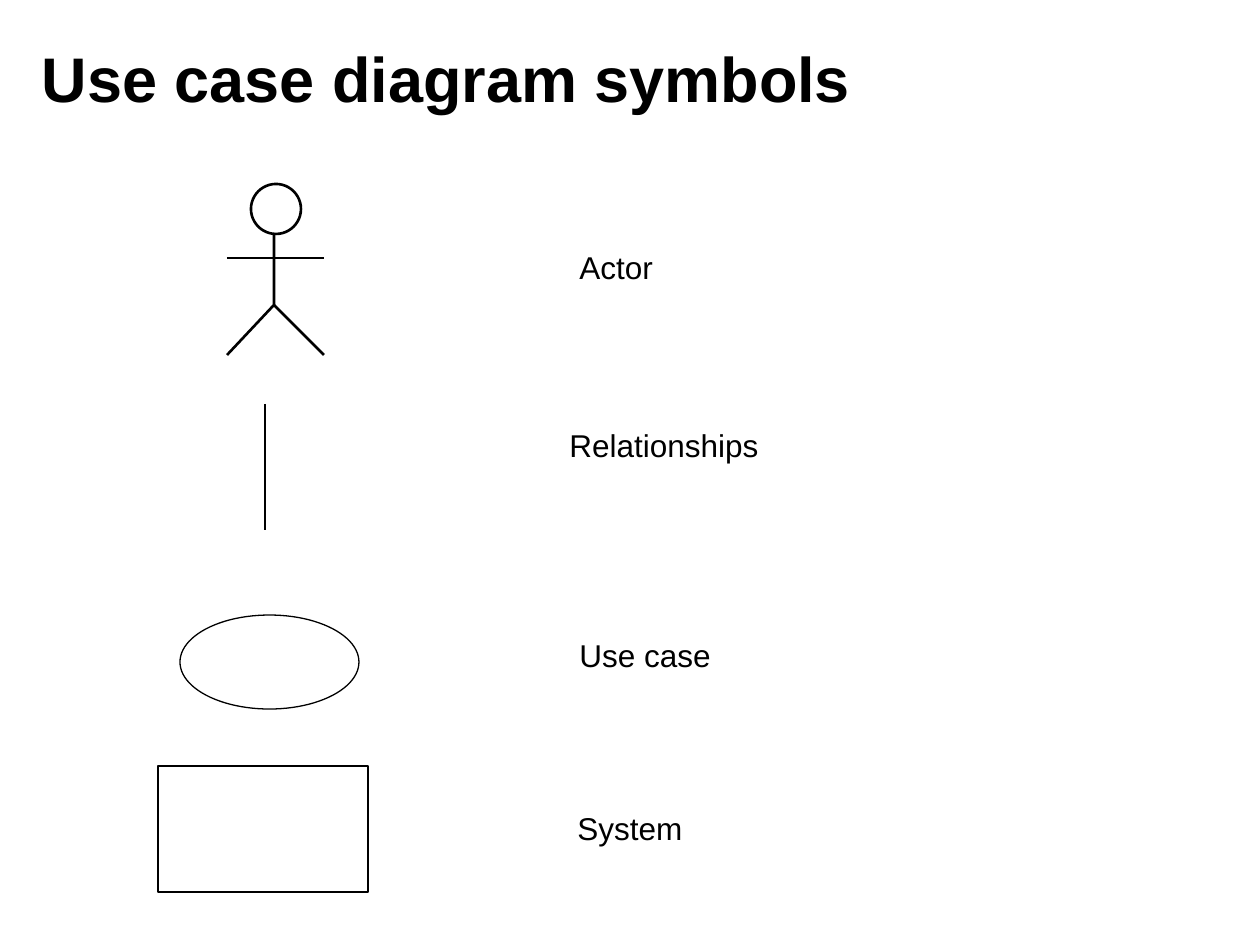
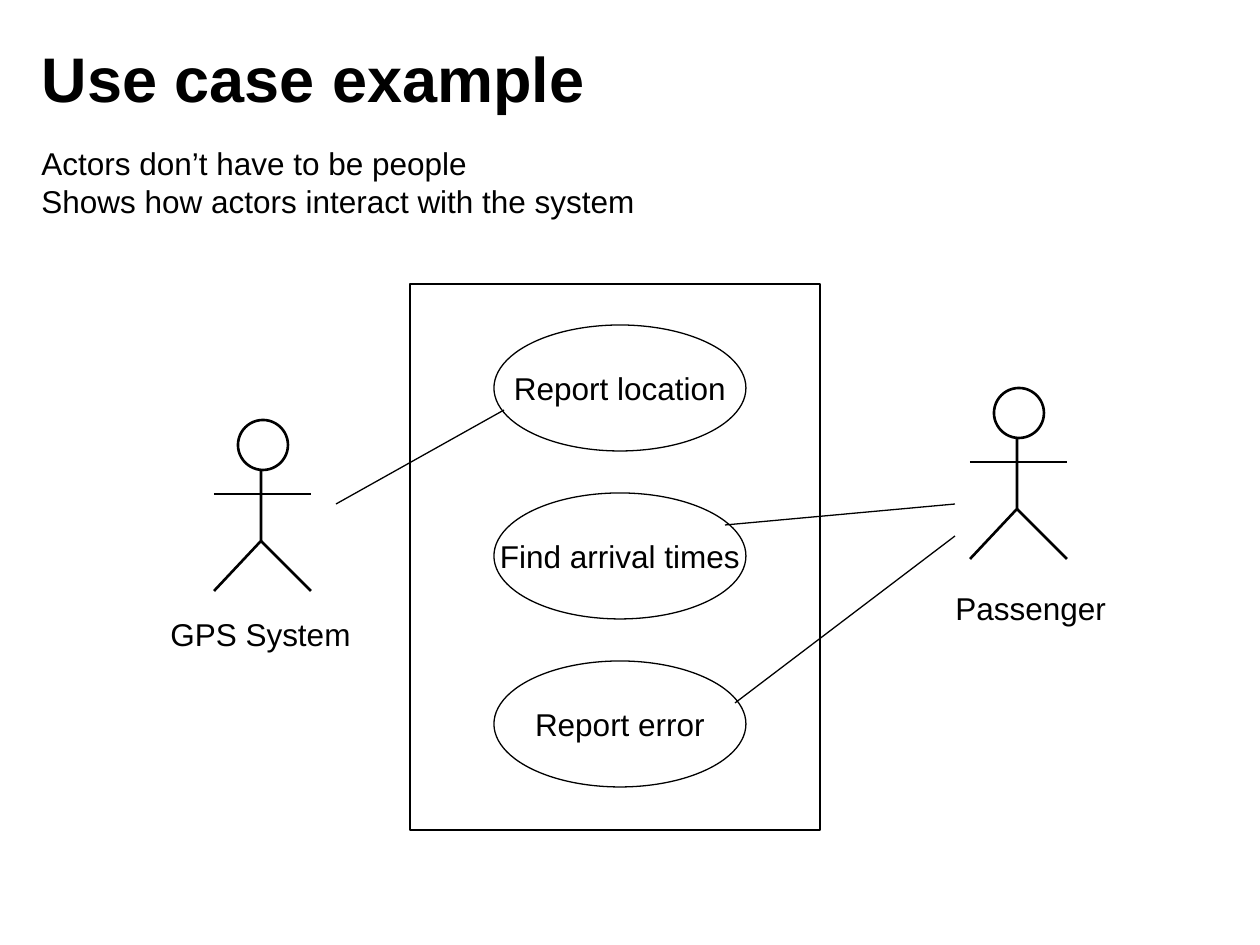
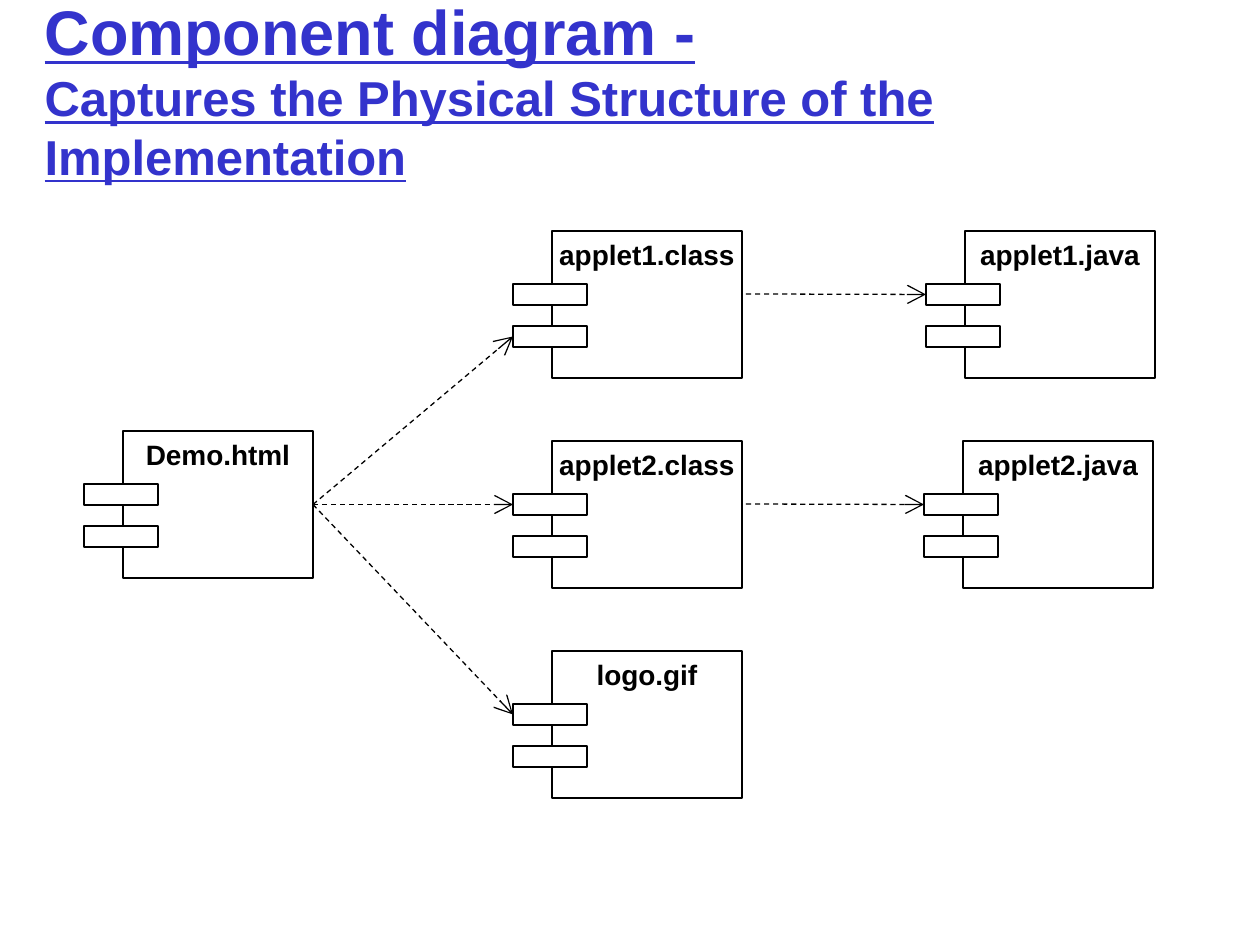
from lxml import etree
from pptx import Presentation
from pptx import util as u
from pptx.dml.color import RGBColor
from pptx.enum import dml, shapes, text
from pptx.oxml.ns import qn

SCALE = u.Inches(1) / 126
COLORS = {"ink": "000000", "paper": "FFFFFF", "heading": "3333CC"}
FONT = "Arial"
THIN, THICK = 0.75, 1.5
RECT = shapes.MSO_SHAPE.RECTANGLE
OVAL = shapes.MSO_SHAPE.OVAL


def px(*lengths):
    return [u.Emu(round(length * SCALE)) for length in lengths]


def color(name):
    return RGBColor.from_string(COLORS[name])


class Diagram:
    def __init__(self):
        self.deck = Presentation()
        self.deck.slide_width, self.deck.slide_height = px(1260, 945)
        self.page = None
        self.host = None

    def new_page(self):
        self.page = self.deck.slides.add_slide(self.deck.slide_layouts[5])
        self.host = self.page.shapes

    def font(self, font, size, bold=False, ink="ink"):
        font.name = FONT
        font.size = u.Pt(size)
        font.bold = bold
        font.color.rgb = color(ink)

    def stroke(self, shape, width):
        shape.line.color.rgb = color("ink")
        shape.line.width = u.Pt(width)

    def title(self, words, box=(29, 19, 1012, 117), ink="ink", subtitle=None):
        title = self.page.shapes.title
        title.left, title.top, title.width, title.height = px(*box)
        frame = title.text_frame
        frame.auto_size = text.MSO_AUTO_SIZE.NONE
        frame.vertical_anchor = text.MSO_ANCHOR.MIDDLE
        para = frame.paragraphs[0]
        para.alignment = text.PP_ALIGN.LEFT
        self.font(para.font, 36, True, ink)
        para.add_run().text = words
        if subtitle:
            para.font.underline = True
            para.add_line_break()
            span = para.add_run()
            span.text = subtitle
            span.font.size = u.Pt(28)

    def label(self, box, *lines):
        frame = self.host.add_textbox(*px(*box)).text_frame
        frame.word_wrap = True
        frame.auto_size = text.MSO_AUTO_SIZE.SHAPE_TO_FIT_TEXT
        frame.text = "\n".join(lines)
        for para in frame.paragraphs:
            self.font(para.font, 18)

    def shape(self, kind, box, width=THIN, filled=False):
        shape = self.host.add_shape(kind, *px(*box))
        shape.shadow.inherit = False
        if filled:
            shape.fill.solid()
            shape.fill.fore_color.rgb = color("paper")
        else:
            shape.fill.background()
        self.stroke(shape, width)
        return shape

    def caption(self, shape, words, size, bold, anchor):
        frame = shape.text_frame
        frame.word_wrap = False
        frame.vertical_anchor = anchor
        frame.text = words
        para = frame.paragraphs[0]
        para.alignment = text.PP_ALIGN.CENTER
        self.font(para.font, size, bold)

    def line(self, start, end, width=THIN):
        line = self.host.add_connector(shapes.MSO_CONNECTOR.STRAIGHT, *px(*start, *end))
        etree.SubElement(line._element.spPr, qn("a:effectLst"))
        self.stroke(line, width)
        return line

    def dependency(self, start, tab, source=None):
        arrow = self.line(start, start)
        if source:
            arrow.begin_connect(source, 3)
        arrow.end_connect(tab, 1)
        arrow.line.dash_style = dml.MSO_LINE.DASH
        outline = arrow._element.spPr.find(qn("a:ln"))
        etree.SubElement(outline, qn("a:tailEnd"), type="arrow", w="lg", len="lg")

    def group(self):
        self.host = self.page.shapes.add_group_shape().shapes

    def end_group(self):
        self.host = self.page.shapes

    def actor(self, left, top):
        spine, right, hip, foot, arms = left + 47, left + 97, top + 121, top + 171, top + 74
        self.group()
        builder = self.host.build_freeform(spine, top + 35, scale=SCALE)
        builder.add_line_segments([(spine, hip), (left, foot)], close=False)
        body = builder.convert_to_shape()
        body.shadow.inherit = False
        body.fill.background()
        self.stroke(body, THICK)
        self.line((spine, hip), (right, foot), THICK)
        self.line((left, arms), (right, arms), THICK)
        self.shape(OVAL, (left + 24, top, 50, 50), THICK, filled=True)
        self.end_group()

    def use_case(self, box, words):
        self.caption(self.shape(OVAL, box), words, 18, False, text.MSO_ANCHOR.MIDDLE)

    def component(self, left, top, name):
        self.group()
        body = self.shape(RECT, (left, top, 190, 147), filled=True)
        self.caption(body, name, 16, True, text.MSO_ANCHOR.TOP)
        upper, lower = [
            self.shape(RECT, (left - 39, top + drop, 74, 21), filled=True) for drop in (53, 95)
        ]
        self.end_group()
        return body, upper, lower


def symbols_page(diagram):
    diagram.new_page()
    diagram.title("Use case diagram symbols")
    diagram.actor(227, 184)
    diagram.line((265, 404), (265, 530))
    diagram.shape(OVAL, (180, 615, 179, 94))
    diagram.shape(RECT, (158, 766, 210, 126))
    for left, top, width, words in (
        (567, 242, 106, "Actor"),
        (557, 420, 222, "Relationships"),
        (567, 630, 164, "Use case"),
        (565, 803, 138, "System"),
    ):
        diagram.label((left, top, width, 50), words)


def example_page(diagram):
    diagram.new_page()
    diagram.title("Use case example")
    diagram.actor(214, 420)
    diagram.actor(970, 388)
    diagram.shape(RECT, (410, 284, 410, 546))
    for row, words in enumerate(("Report location", "Find arrival times", "Report error")):
        diagram.use_case((494, 325 + 168 * row, 252, 126), words)
    diagram.label((158, 609, 213, 50), "GPS System")
    diagram.label((943, 583, 192, 50), "Passenger")
    diagram.line((336, 504), (504, 410))
    diagram.line((955, 504), (725, 525))
    diagram.line((735, 703), (955, 536))
    diagram.label(
        (29, 138, 630, 88),
        "Actors don’t have to be people",
        "Shows how actors interact with the system",
    )


def component_page(diagram):
    diagram.new_page()
    diagram.title(
        "Component diagram -",
        (32, 10, 1197, 158),
        "heading",
        "Captures the Physical Structure of the Implementation",
    )
    first, second, third = [231 + 210 * row for row in range(3)]
    _, _, applet1_lower = diagram.component(552, first, "applet1.class")
    demo, _, _ = diagram.component(123, 431, "Demo.html")
    _, applet2_upper, _ = diagram.component(552, second, "applet2.class")
    _, logo_upper, _ = diagram.component(552, third, "logo.gif")
    _, java1_upper, _ = diagram.component(965, first, "applet1.java")
    _, java2_upper, _ = diagram.component(963, second, "applet2.java")
    for tab in (applet1_lower, applet2_upper, logo_upper):
        diagram.dependency((313, 504), tab, demo)
    for top, tab in ((first, java1_upper), (second, java2_upper)):
        diagram.dependency((746, top + 63), tab)


def main():
    diagram = Diagram()
    symbols_page(diagram)
    example_page(diagram)
    component_page(diagram)
    diagram.deck.save("out.pptx")


if __name__ == "__main__":
    main()
